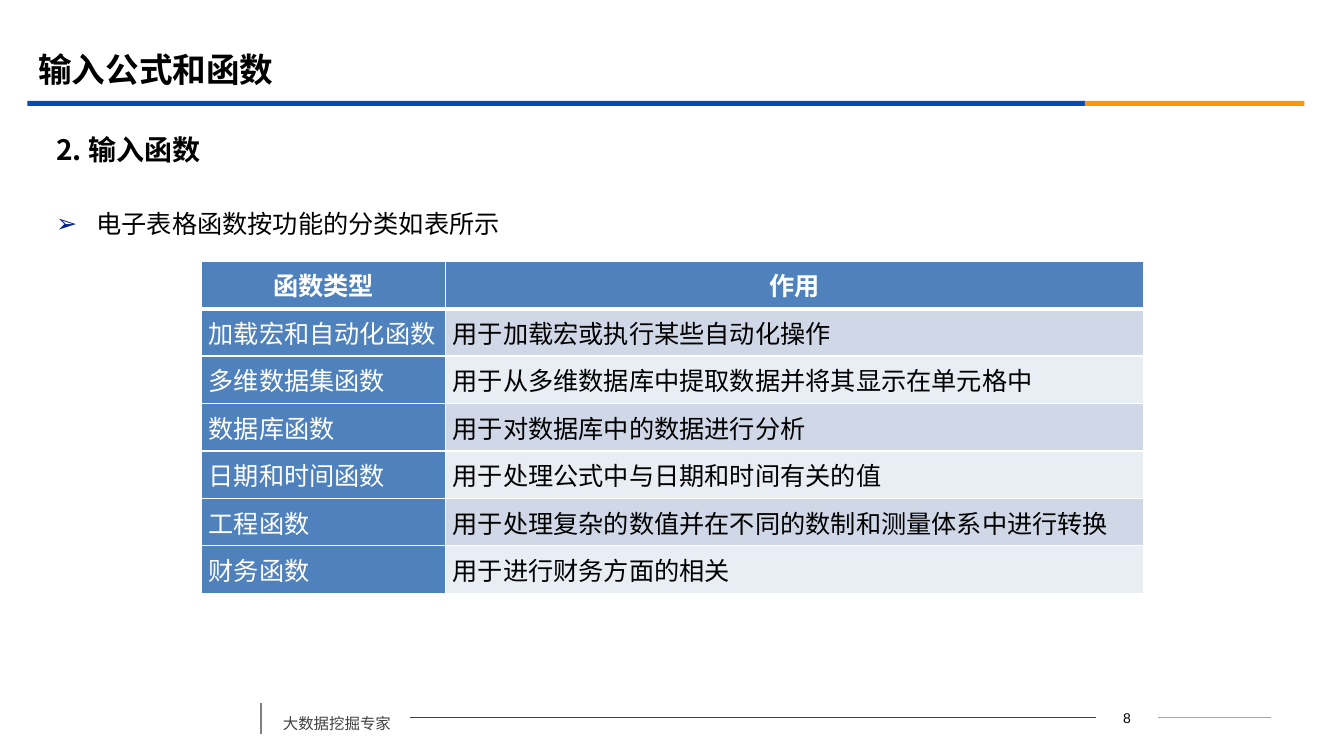
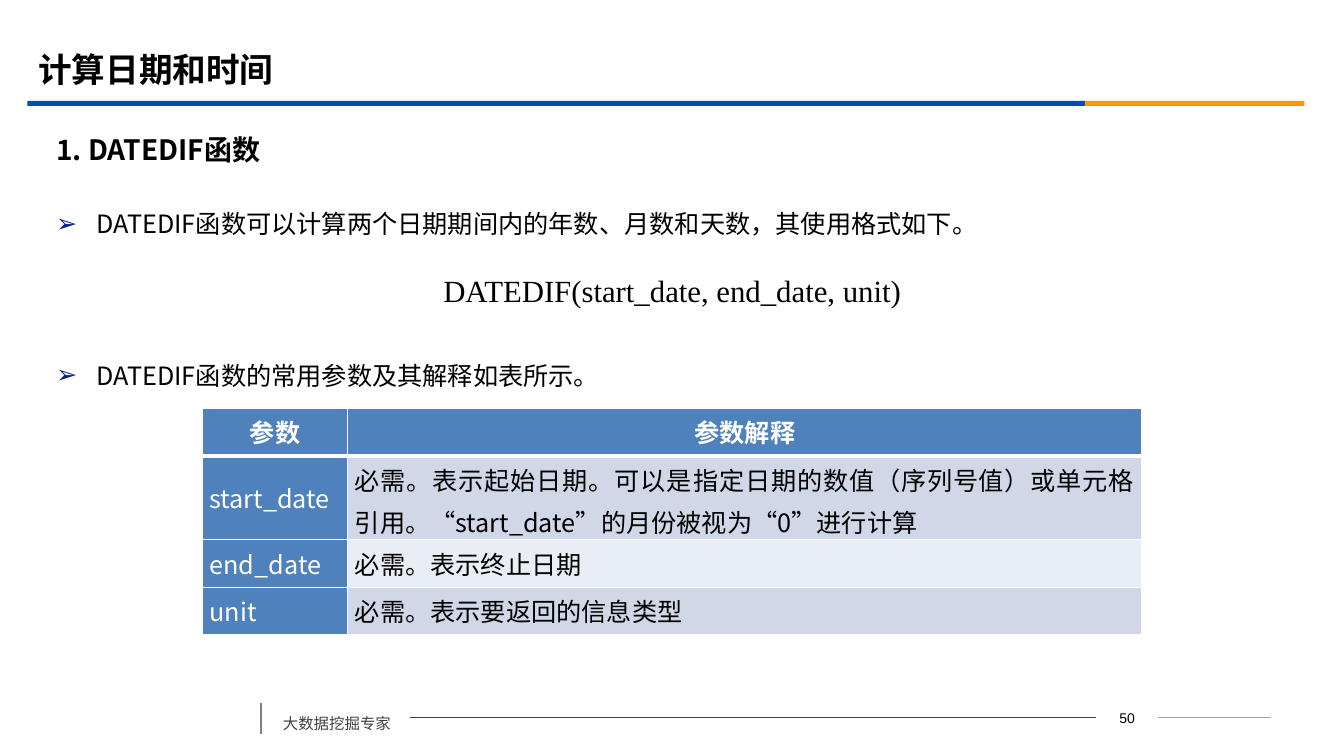
import lxml.etree
import pptx
import pptx.dml.color
import pptx.enum.shapes
import pptx.enum.text
import pptx.oxml.ns
import pptx.util

# Grid: 32 columns by 18 rows of square cells
SLIDE_WIDTH = pptx.util.Inches(13.33)
SLIDE_HEIGHT = pptx.util.Inches(7.5)
COLUMNS, ROWS = 32, 18
CONTENT_LEFT, CONTENT_WIDTH = 1.1, 29.16
BULLET_INDENT = 0.96
TABLE_ROW = 1.13
CELL_MARGIN = 0.17

SANS, SERIF, NUMBERS = "Noto Sans CJK SC", "Times New Roman", "Arial"
COLORS = {
    "text": "000000", "white": "FFFFFF", "footer": "404040",
    "divider": "808080", "pale_line": "A6A6A6",
    "blue": "064BB2", "orange": "FB9708", "bullet": "032089",
    "header": "4F81BD", "odd_row": "D0D8E8", "even_row": "E9EDF4",
}
ALIGN = pptx.enum.text.PP_ALIGN
MIDDLE = pptx.enum.text.MSO_ANCHOR.MIDDLE


def across(columns):
    return round(SLIDE_WIDTH * columns / COLUMNS)


def down(rows):
    return round(SLIDE_HEIGHT * rows / ROWS)


def box(left, top, width, height):
    return across(left), down(top), across(width), down(height)


def rgb(name):
    return pptx.dml.color.RGBColor.from_string(COLORS[name])


def add_element(parent, tag, **attributes):
    return lxml.etree.SubElement(parent, pptx.oxml.ns.qn(tag), **attributes)


# Text
def add_run(paragraph, text, size, color="text", font=SANS, bold=False):
    run = paragraph.add_run()
    run.text = text
    run.font.size = pptx.util.Pt(size)
    run.font.bold = bold
    run.font.color.rgb = rgb(color)
    run.font.name = font
    add_element(run.font._element, "a:ea", typeface=SANS)


def add_text(slide, area, text, size, align=ALIGN.LEFT, spacing=1.0,
             anchor=pptx.enum.text.MSO_ANCHOR.TOP, **style):
    frame = slide.shapes.add_textbox(*box(*area)).text_frame
    frame.word_wrap = True
    frame.vertical_anchor = anchor
    paragraph = frame.paragraphs[0]
    paragraph.alignment = align
    paragraph.line_spacing = spacing
    add_run(paragraph, text, size, **style)
    return paragraph


def add_bullet(slide, top, text):
    area = (CONTENT_LEFT, top, CONTENT_WIDTH, 1.5)
    paragraph = add_text(slide, area, text, 18, spacing=1.5)
    properties = paragraph._p.get_or_add_pPr()
    properties.set("marL", str(across(BULLET_INDENT)))
    properties.set("indent", str(-across(BULLET_INDENT)))
    bullet_color = add_element(properties, "a:buClr")
    add_element(bullet_color, "a:srgbClr", val=COLORS["bullet"])
    add_element(properties, "a:buFont", typeface=NUMBERS)
    add_element(properties, "a:buChar", char="➢")


# Bands and lines
def add_band(slide, left, width, color):
    band = slide.shapes.add_shape(
        pptx.enum.shapes.MSO_SHAPE.RECTANGLE, *box(left, 2.4, width, 0.12))
    band.shadow.inherit = False
    band.fill.solid()
    band.fill.fore_color.rgb = rgb(color)
    band.line.fill.background()


def add_line(slide, start, end, color, width):
    line = slide.shapes.add_connector(
        pptx.enum.shapes.MSO_CONNECTOR.STRAIGHT,
        across(start[0]), down(start[1]), across(end[0]), down(end[1]))
    line.line.color.rgb = rgb(color)
    line.line.width = pptx.util.Pt(width)
    add_element(line._element.spPr, "a:effectLst")


# Tables
def set_borders(cell, row_index):
    widths = {"L": 1, "R": 1, "T": 3 if row_index == 1 else 1,
              "B": 3 if row_index == 0 else 1}
    properties = cell._tc.get_or_add_tcPr()
    for side, width in widths.items():
        border = add_element(properties, f"a:ln{side}",
                             w=str(pptx.util.Pt(width)))
        fill = add_element(border, "a:solidFill")
        add_element(fill, "a:srgbClr", val=COLORS["white"])


def fill_cell(cell, text, row_index, column_index):
    is_header = row_index == 0
    colored = is_header or column_index == 0
    band = "odd_row" if row_index % 2 else "even_row"
    set_borders(cell, row_index)
    cell.fill.solid()
    cell.fill.fore_color.rgb = rgb("header" if colored else band)
    cell.vertical_anchor = MIDDLE
    cell.margin_left = cell.margin_right = across(CELL_MARGIN)
    cell.margin_top = cell.margin_bottom = 0
    paragraph = cell.text_frame.paragraphs[0]
    paragraph.alignment = ALIGN.CENTER if is_header else ALIGN.JUSTIFY
    add_run(paragraph, text, 18, "white" if colored else "text",
            bold=is_header)


def add_table(slide, left, top, widths, rows):
    area = box(left, top, sum(widths), TABLE_ROW * len(rows))
    table = slide.shapes.add_table(len(rows), len(widths), *area).table
    table.horz_banding = False
    for column, width in zip(table.columns, widths):
        column.width = across(width)
    for row_index, texts in enumerate(rows):
        table.rows[row_index].height = down(TABLE_ROW)
        for column_index, text in enumerate(texts):
            fill_cell(table.cell(row_index, column_index), text,
                      row_index, column_index)
    return table


# Frame shared by the slides
def add_slide(presentation, title, heading, number):
    slide = presentation.slides.add_slide(presentation.slide_layouts[5])
    add_band(slide, 0.65, 25.18, "blue")
    add_band(slide, 25.83, 5.23, "orange")
    add_line(slide, (6.22, 16.75), (6.22, 17.47), "divider", 1.25)
    add_line(slide, (9.77, 17.09), (26.09, 17.09), "footer", 0.75)
    add_line(slide, (27.58, 17.09), (30.26, 17.09), "pale_line", 0.75)
    add_text(slide, (6.5, 16.66, 3.27, 0.91), "大数据挖掘专家", 11,
             spacing=1.5, color="footer")
    add_text(slide, (26.09, 16.78, 1.49, 0.6), number, 10,
             align=ALIGN.CENTER, font=NUMBERS)

    shape = slide.shapes.title
    shape.left, shape.top, shape.width, shape.height = box(
        0.67, 0.94, 28.8, 1.39)
    shape.text_frame.vertical_anchor = MIDDLE
    paragraph = shape.text_frame.paragraphs[0]
    paragraph.alignment = ALIGN.LEFT
    add_run(paragraph, title, 24, font=SERIF, bold=True)
    add_text(slide, (CONTENT_LEFT, 3, CONTENT_WIDTH, 1.13), heading, 20,
             anchor=MIDDLE, bold=True)
    return slide


# Slides
def add_function_types(presentation):
    slide = add_slide(presentation, "输入公式和函数", "2. 输入函数", "8")
    add_bullet(slide, 4.49, "电子表格函数按功能的分类如表所示")
    add_table(slide, 4.8, 6.22, (5.81, 16.61), [
        ("函数类型", "作用"),
        ("加载宏和自动化函数", "用于加载宏或执行某些自动化操作"),
        ("多维数据集函数", "用于从多维数据库中提取数据并将其显示在单元格中"),
        ("数据库函数", "用于对数据库中的数据进行分析"),
        ("日期和时间函数", "用于处理公式中与日期和时间有关的值"),
        ("工程函数", "用于处理复杂的数值并在不同的数制和测量体系中进行转换"),
        ("财务函数", "用于进行财务方面的相关"),
    ])


def add_datedif(presentation):
    slide = add_slide(presentation, "计算日期和时间", "1. DATEDIF函数", "50")
    add_bullet(slide, 4.49, "DATEDIF函数可以计算两个日期期间内的年数、月数和天数，"
                            "其使用格式如下。")
    add_text(slide, (10.32, 6.36, 12.2, 1.13),
             "DATEDIF(start_date, end_date, unit)", 22, font=SERIF)
    add_bullet(slide, 8.09, "DATEDIF函数的常用参数及其解释如表所示。")
    table = add_table(slide, 4.82, 9.72, (3.46, 18.91), [
        ("参数", "参数解释"),
        ("start_date", "必需。表示起始日期。可以是指定日期的数值（序列号值）或单元格"
                       "引用。“start_date”的月份被视为“0”进行计算"),
        ("end_date", "必需。表示终止日期"),
        ("unit", "必需。表示要返回的信息类型"),
    ])
    # The two-line explanation needs a taller row
    table.rows[1].height = down(2)
    explanation = table.cell(1, 1).text_frame.paragraphs[0]
    explanation.line_spacing = pptx.util.Pt(30)


def main():
    presentation = pptx.Presentation()
    presentation.slide_width = SLIDE_WIDTH
    presentation.slide_height = SLIDE_HEIGHT
    add_function_types(presentation)
    add_datedif(presentation)
    presentation.save("out.pptx")


if __name__ == "__main__":
    main()
